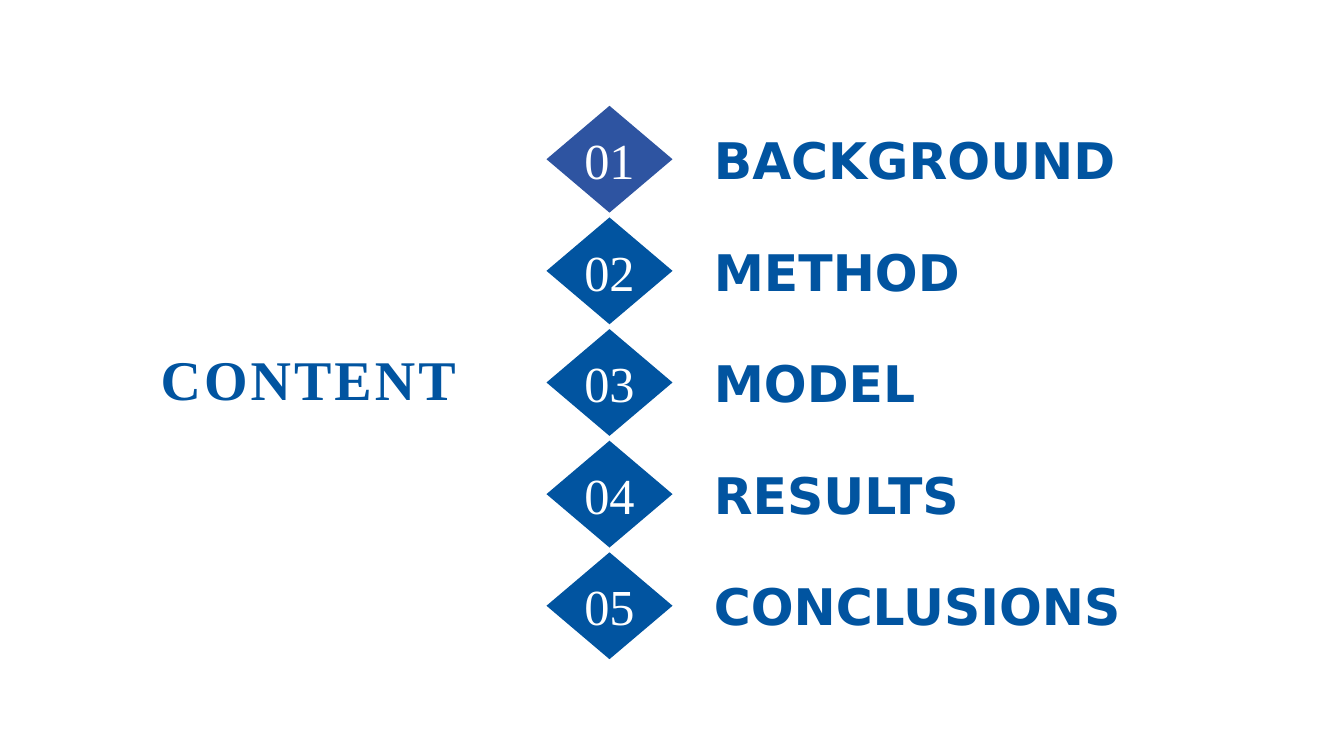
from pptx import Presentation
from pptx.dml.color import RGBColor
from pptx.enum import shapes, text
from pptx.util import Inches, Pt

COLORS = {"blue": "0154A0", "indigo": "2E54A1", "white": "FFFFFF"}
SECTIONS = ["BACKGROUND", "METHOD", "MODEL", "RESULTS", "CONCLUSIONS"]
FIRST_TOP, LAST_TOP = 1.05, 5.48
ROW_PITCH = (LAST_TOP - FIRST_TOP) / (len(SECTIONS) - 1)


def write(shape, words, size=36, font="Times New Roman", color="blue", bold=False,
          align=text.PP_ALIGN.LEFT, anchor=text.MSO_ANCHOR.TOP, wrap=False,
          inset=0, spacing=None):
    """Put one formatted line of text in a shape; inset None keeps the default margins."""
    frame = shape.text_frame
    frame.word_wrap = wrap
    frame.vertical_anchor = anchor
    if inset is not None:
        frame.margin_left = frame.margin_right = Inches(inset)
        frame.margin_top = frame.margin_bottom = Inches(inset)
    paragraph = frame.paragraphs[0]
    paragraph.alignment = align
    run = paragraph.add_run()
    run.text = words
    run.font.size = Pt(size)
    run.font.name = font
    run.font.bold = bold
    run.font.color.rgb = RGBColor.from_string(COLORS[color])
    if spacing is not None:
        run.font._element.set("spc", str(round(spacing * 100)))


presentation = Presentation()
presentation.slide_width = Inches(13.33)
presentation.slide_height = Inches(7.5)
slide = presentation.slides.add_slide(presentation.slide_layouts[6])

heading = slide.shapes.add_textbox(Inches(1.32), Inches(3.37), Inches(3.3), Inches(0.76))
write(heading, "CONTENT", size=40, bold=True, align=text.PP_ALIGN.RIGHT, wrap=True,
      inset=None, spacing=2.2)

for row, section in enumerate(SECTIONS):
    offset = row * ROW_PITCH
    diamond = slide.shapes.add_shape(shapes.MSO_SHAPE.DIAMOND, Inches(5.42),
                                     Inches(FIRST_TOP + offset), Inches(1.25), Inches(1.06))
    diamond.shadow.inherit = False
    diamond.fill.solid()
    diamond.fill.fore_color.rgb = RGBColor.from_string(COLORS["blue" if row else "indigo"])
    diamond.line.fill.background()
    write(diamond, f"{row + 1:02d}", color="white", align=text.PP_ALIGN.CENTER,
          anchor=text.MSO_ANCHOR.MIDDLE)

    label = slide.shapes.add_textbox(Inches(7.08), Inches(1.28 + offset),
                                     Inches(4.32), Inches(0.61))
    write(label, section, font="DejaVu Sans", bold=True, wrap=True)
    label.text_frame.auto_size = text.MSO_AUTO_SIZE.SHAPE_TO_FIT_TEXT

presentation.save("out.pptx")
